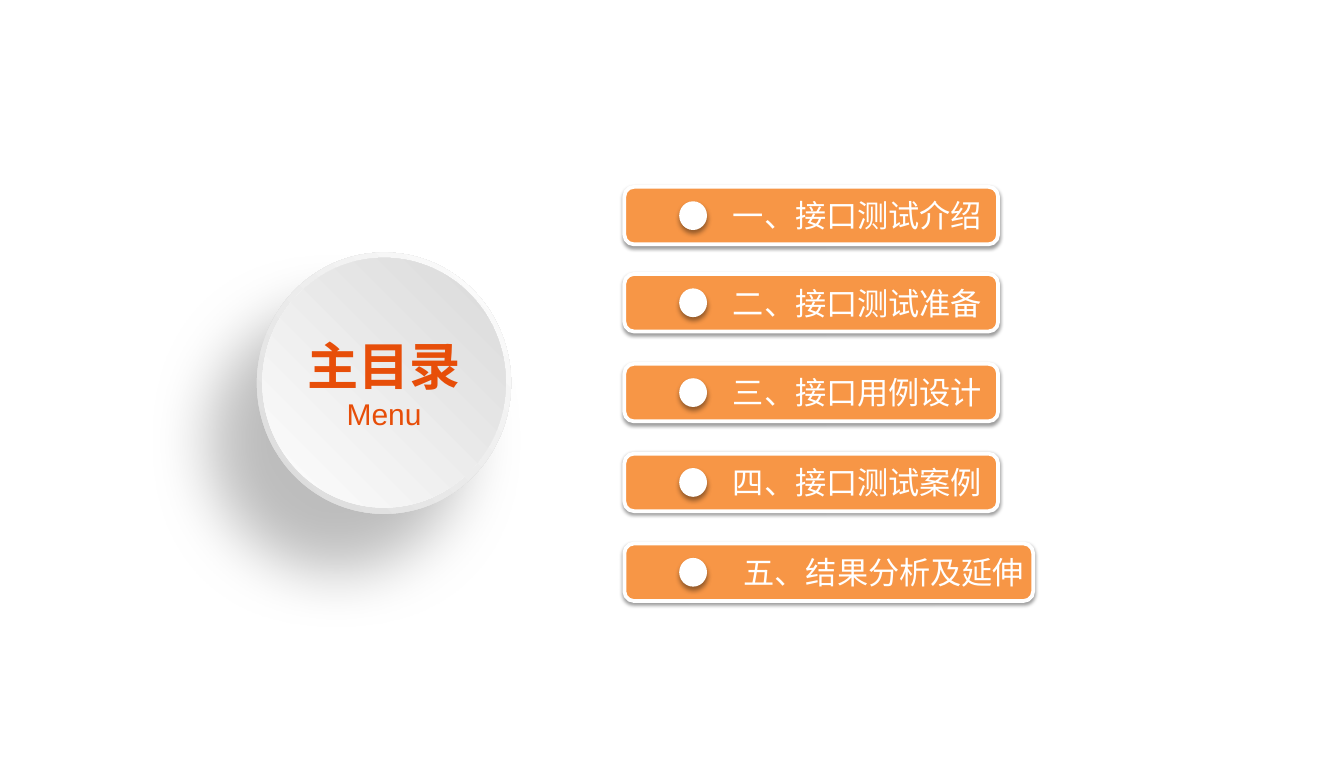
from lxml import etree
from pptx import Presentation
from pptx import util as u
from pptx.dml.color import RGBColor
from pptx.enum import shapes, text
from pptx.oxml import ns

PX = 9144  # 100 px to the inch
HEX = {"white": "FFFFFF", "pale": "FEFEFE", "grey": "D9D9D9",
       "orange": "F79646", "red": "E74E09", "black": "000000"}
ITEMS = [  # bar top, bar width, label left, label
    (208, 416, 806, "一、接口测试介绍"),
    (305, 416, 806, "二、接口测试准备"),
    (405, 416, 806, "三、接口用例设计"),
    (505, 416, 806, "四、接口测试案例"),
    (605, 455, 818, "五、结果分析及延伸"),
]


def rgb(name):
    return RGBColor.from_string(HEX[name])


def px(*nums):
    return [u.Emu(n * PX) for n in nums]


def add(parent, tag, **attrs):
    return etree.SubElement(parent, ns.qn(tag), **attrs)


def tint(parent, name):
    return add(parent, "a:srgbClr", val=HEX[name])


def shade(shape, alpha, blur, dist, angle):
    """Give an outer shadow: percent, points, points, degrees."""
    props = shape.element.spPr
    effects = props.find(ns.qn("a:effectLst"))
    outer = add(effects, "a:outerShdw", blurRad=str(u.Pt(blur)),
                dist=str(u.Pt(dist)), dir=str(angle * 60000),
                algn="ctr", rotWithShape="0")
    add(tint(outer, "black"), "a:alpha", val=str(alpha * 1000))


def glow(shape, start, end):
    """Fill with a radial gradient spreading from the top right corner."""
    shape.fill.gradient()
    grad = shape.element.spPr.find(ns.qn("a:gradFill"))
    for child in list(grad):
        grad.remove(child)
    stops = add(grad, "a:gsLst")
    for pos, name in (("0", start), ("100000", end)):
        tint(add(stops, "a:gs", pos=pos), name)
    way = add(grad, "a:path", path="circle")
    add(way, "a:fillToRect", l="100000", b="100000")


def form(slide, kind, box, fill=None):
    shape = slide.shapes.add_shape(kind, *px(*box))
    shape.shadow.inherit = False
    shape.line.fill.background()
    if fill:
        shape.fill.solid()
        shape.fill.fore_color.rgb = rgb(fill)
    return shape


def disc(slide, box, start, end):
    shape = form(slide, shapes.MSO_SHAPE.OVAL, box)
    glow(shape, start, end)
    return shape


def title(shape):
    frame = shape.text_frame
    frame.word_wrap = True
    frame.vertical_anchor = text.MSO_ANCHOR.MIDDLE
    frame.margin_left = frame.margin_right = 0
    para = frame.paragraphs[0]
    para.alignment = text.PP_ALIGN.CENTER
    para.font.name = "Arial"
    para.font.color.rgb = rgb("red")
    head = para.add_run()
    head.text = "主目录"
    head.font.size, head.font.bold = u.Pt(41), True
    para.add_line_break()
    sub = para.add_run()
    sub.text = "Menu"
    sub.font.size, sub.font.bold = u.Pt(24), False


def bar(slide, top, width):
    shape = form(slide, shapes.MSO_SHAPE.ROUNDED_RECTANGLE,
                 (695, top, width, 64), "orange")
    shape.line.color.rgb = rgb("white")
    shape.line.width = u.Pt(3)
    shade(shape, 38, 3.1, 1.6, 90)


def dot(slide, top):
    shape = form(slide, shapes.MSO_SHAPE.OVAL, (756, top, 31, 32), "white")
    shade(shape, 40, 4, 3, 90)


def label(slide, left, top, words):
    frame = slide.shapes.add_textbox(*px(left, top, 363, 52)).text_frame
    frame.word_wrap = True
    para = frame.paragraphs[0]
    para.text = words
    para.font.name = "Noto Sans CJK SC"
    para.font.size = u.Pt(25)
    para.font.color.rgb = rgb("white")


def main():
    deck = Presentation()
    deck.slide_width, deck.slide_height = px(1496, 866)
    slide = deck.slides.add_slide(deck.slide_layouts[6])
    rim = disc(slide, (286, 281, 283, 291), "white", "grey")
    shade(rim, 25, 50, 60, 130)
    title(disc(slide, (292, 287, 271, 278), "grey", "pale"))
    for top, width, left, words in ITEMS:
        bar(slide, top, width)
        label(slide, left, top + 6, words)
        dot(slide, top + 16)
    deck.save("out.pptx")


if __name__ == "__main__":
    main()
